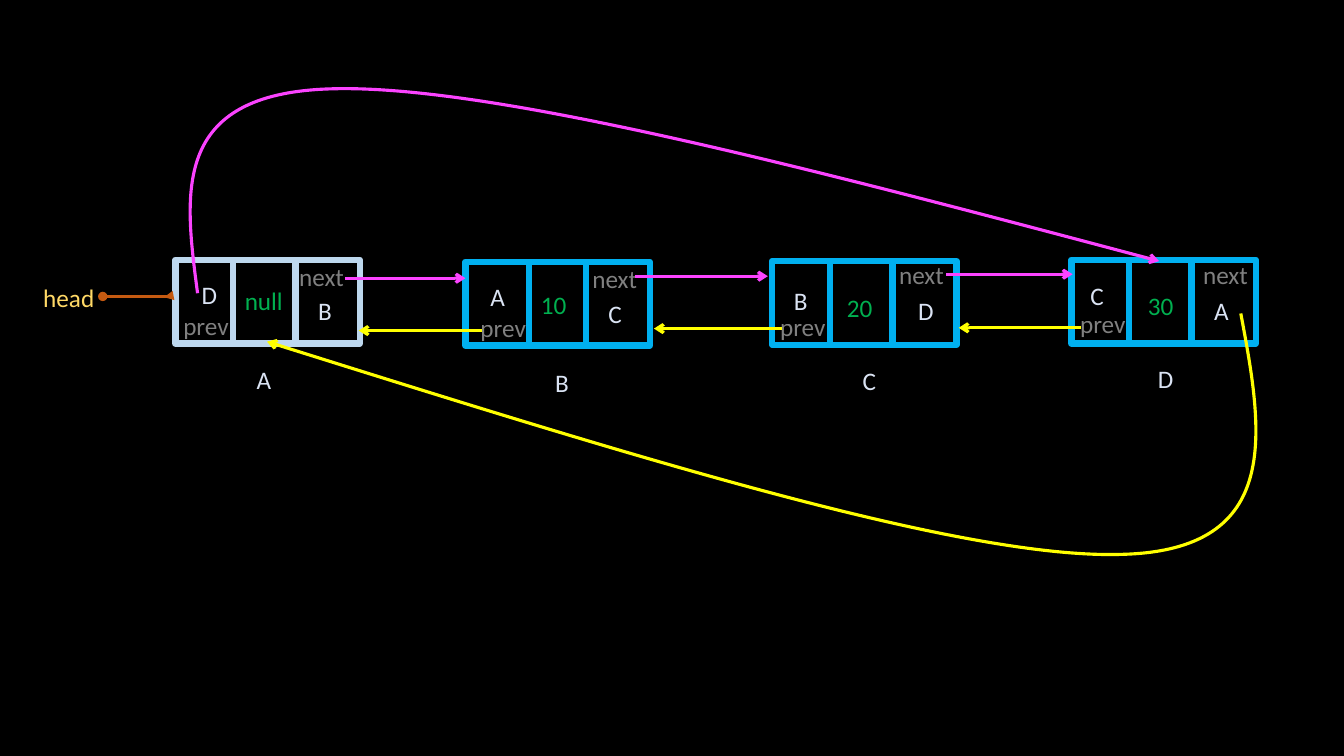
import pptx
import pptx.dml.color
import pptx.enum.shapes
import pptx.enum.text
import pptx.oxml
import pptx.oxml.ns
import pptx.util
from lxml import etree

Cm = pptx.util.Cm
qn = pptx.oxml.ns.qn

COLORS = {
    "background": "000000", "head_node": "BDD7EE", "node": "00B0F0",
    "label": "FFFFFF", "letter": "DAE3F3", "value": "00B050",
    "head_text": "FFD966", "head_line": "C55A11",
    "next": "FB43FF", "prev": "FFFF00",
}
NODE_WIDTH, NODE_HEIGHT = 4.65, 2.11
NEXT_DIVIDER = 3.03
LABEL_WIDTH, LETTER_WIDTH, VALUE_WIDTH, NULL_WIDTH = 1.83, 1.04, 1.24, 2.24


def rgb(name):
    """Return the named colour."""
    return pptx.dml.color.RGBColor.from_string(COLORS[name])


class Diagram:
    """Holds the text style and the current slide; lengths are in centimetres."""

    font_name = "Calibri"
    font_size = 18
    text_height = 1.02

    def __init__(self, slide):
        """Start on a slide and paint its background."""
        self.shapes = slide.shapes
        slide.background.fill.solid()
        slide.background.fill.fore_color.rgb = rgb("background")

    def text(self, left, top, width, words, color, alpha=None):
        """Add one line of text, with an optional opacity in percent."""
        box = self.shapes.add_textbox(Cm(left), Cm(top), Cm(width), Cm(self.text_height))
        box.text_frame.word_wrap = True
        box.text_frame.auto_size = pptx.enum.text.MSO_AUTO_SIZE.SHAPE_TO_FIT_TEXT
        paragraph = box.text_frame.paragraphs[0]
        paragraph.text = words
        paragraph.font.name = self.font_name
        paragraph.font.size = pptx.util.Pt(self.font_size)
        paragraph.font.color.rgb = rgb(color)
        if alpha:
            for fill_color in paragraph._p.iter(qn("a:srgbClr")):
                etree.SubElement(fill_color, qn("a:alpha"), val=str(alpha * 1000))

    def outline(self, shape, color, width, head=None, tail=None):
        """Set the line of a shape and its arrowheads."""
        shape.line.color.rgb = rgb(color)
        shape.line.width = pptx.util.Pt(width)
        for tag, kind in (("a:headEnd", head), ("a:tailEnd", tail)):
            if kind:
                etree.SubElement(shape.line._get_or_add_ln(), qn(tag), type=kind)

    def box(self, left, top, color):
        """Add the frame of a node."""
        shape = self.shapes.add_shape(
            pptx.enum.shapes.MSO_SHAPE.RECTANGLE,
            Cm(left), Cm(top), Cm(NODE_WIDTH), Cm(NODE_HEIGHT))
        shape.shadow.inherit = False
        shape.fill.background()
        self.outline(shape, color, 4.5)

    def line(self, start, end, color, width=2.25, tail=None):
        """Add a straight line, with an optional arrowhead at its end."""
        connector = self.shapes.add_connector(
            pptx.enum.shapes.MSO_CONNECTOR.STRAIGHT,
            *(Cm(length) for length in (*start, *end)))
        self.outline(connector, color, width, tail=tail)
        etree.SubElement(connector._element.spPr, qn("a:effectLst"))

    def curve(self, points, color, head=None, tail="arrow"):
        """Add Bezier curves: a start, then two controls and an end for each."""
        start, *others = [(Cm(x), Cm(y)) for x, y in points]
        builder = self.shapes.build_freeform(*start)
        builder.add_line_segments(others, close=False)
        shape = builder.convert_to_shape()
        shape.shadow.inherit = False
        shape.fill.background()
        self.outline(shape, color, 2.25, head, tail)
        outline = next(shape._element.iter(qn("a:path")))
        segments = outline.findall(qn("a:lnTo"))
        for first in range(0, len(segments), 3):
            bezier = etree.SubElement(outline, qn("a:cubicBezTo"))
            for segment in segments[first:first + 3]:
                bezier.append(segment[0])
                outline.remove(segment)

    def node(self, name, left, top, color, prev_divider, parts):
        """Add a node; each part is (x, y, width, words, colour) from its corner."""
        self.box(left, top, color)
        for x, shift in ((prev_divider, 0.04), (NEXT_DIVIDER, -0.04)):
            self.line((left + x, top + shift), (left + x, top + NODE_HEIGHT + shift),
                      color, 4.5)
        for x, y, width, words, text_color in parts:
            self.text(left + x, top + y, width, words, text_color,
                      49 if text_color == "label" else None)


# name, left, top, colour, prev divider, then (words, x, y) of
# the previous node, the value and the next node, and (x, y) of
# the "prev" label, the "next" label and the name
NODES = [
    ("A", 4.42, 6.55, "head_node", 1.45, ("D", 0.41, 0.36), ("null", 1.5, 0.51),
     ("B", 3.35, 0.76), (-0.05, 1.14), (2.87, -0.1), (1.8, 2.51)),
    ("B", 11.73, 6.6, "node", 1.6, ("A", 0.38, 0.36), ("10", 1.65, 0.56),
     ("C", 3.35, 0.79), (0.13, 1.14), (2.95, -0.1), (2.01, 2.54)),
    ("C", 19.46, 6.58, "node", 1.45, ("B", 0.3, 0.48), ("20", 1.63, 0.66),
     ("D", 3.43, 0.74), (-0.05, 1.14), (2.95, -0.18), (2.03, 2.49)),
    ("D", 27, 6.55, "node", 1.45, ("C", 0.23, 0.38), ("30", 1.68, 0.64),
     ("A", 3.35, 0.76), (-0.03, 1.09), (3.07, -0.15), (1.93, 2.49)),
]
# colour, start x, end x, y
ARROWS = [
    ("next", 8.69, 11.73, 7.01), ("next", 16, 19.35, 6.96), ("next", 23.85, 27.03, 6.91),
    ("prev", 12.14, 9.04, 8.33), ("prev", 19.71, 16.48, 8.28), ("prev", 27.25, 24.16, 8.26),
]
FIRST_TO_LAST = [(4.98, 7.39), (4.65, 4.88), (4.29, 2.36), (8.33, 2.24),
                 (12.37, 2.11), (20.78, 4.34), (29.21, 6.58)]
LAST_TO_FIRST = [(31.27, 7.9), (31.83, 10.87), (32.36, 13.87), (28.27, 13.97),
                 (24.18, 14.1), (15.47, 11.35), (6.73, 8.61)]
HEAD_POINTER = [(2.59, 7.47), (3.11, 7.47), (3.63, 7.47), (4.17, 7.47),
                (4.42, 7.47), (4.29, 7.47), (4.14, 7.49)]


def main():
    """Build the circular doubly linked list and save it."""
    presentation = pptx.Presentation()
    presentation.slide_width, presentation.slide_height = Cm(33.87), Cm(19.05)
    diagram = Diagram(presentation.slides.add_slide(presentation.slide_layouts[6]))

    for (name, left, top, color, divider, before, value, after,
         prev_label, next_label, caption) in NODES:
        value_width = NULL_WIDTH if value[0] == "null" else VALUE_WIDTH
        diagram.node(name, left, top, color, divider, [
            (*before[1:], LETTER_WIDTH, before[0], "letter"),
            (*prev_label, LABEL_WIDTH, "prev", "label"),
            (*value[1:], value_width, value[0], "value"),
            (*after[1:], LETTER_WIDTH, after[0], "letter"),
            (*next_label, LABEL_WIDTH, "next", "label"),
            (*caption, LETTER_WIDTH, name, "letter"),
        ])

    diagram.text(0.84, 6.99, 1.96, "head", "head_text")
    diagram.curve(HEAD_POINTER, "head_line", head="oval", tail="triangle")
    for color, start, end, y in ARROWS:
        diagram.line((start, y), (end, y), color, tail="arrow")
    diagram.curve(FIRST_TO_LAST, "next")
    diagram.curve(LAST_TO_FIRST, "prev")
    presentation.save("out.pptx")


main()
